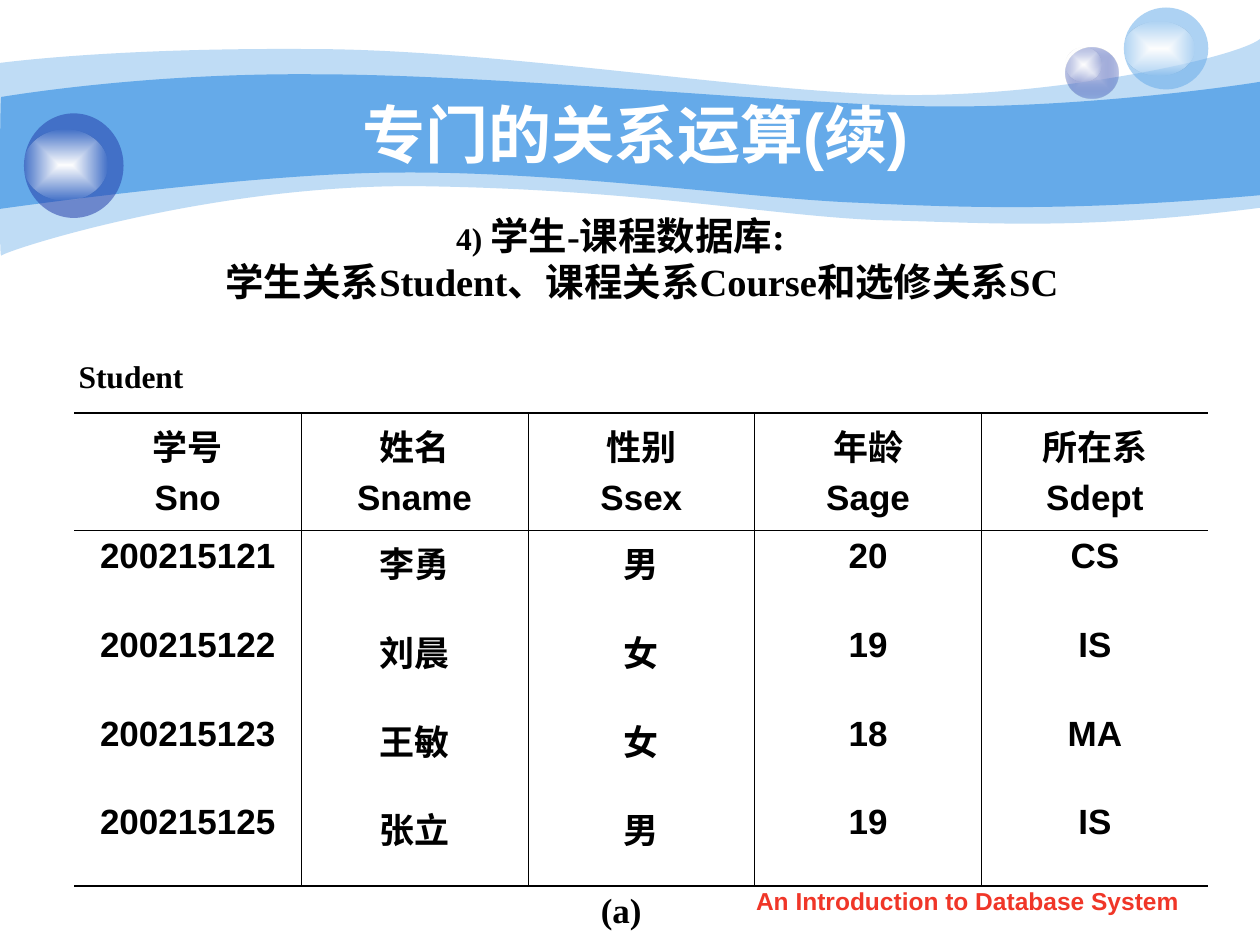
from pptx import Presentation
from pptx import util as u
from pptx.dml.color import RGBColor
from pptx.enum import shapes, text
from pptx.oxml import parse_xml
from pptx.oxml.ns import nsdecls, qn

BLACK, WHITE, SKY, NAVY = "000000", "FFFFFF", "65AAE9", "233DA9"
ARIAL, TIMES = "Arial", "Times New Roman"
UNITS_PER_INCH = 1000

OUTER_WAVE = [
    (0, 0.5),
    (0.24, 0.47, 1.08, 0.38, 2.47, 0.39),
    (3.86, 0.39, 5.75, 0.7, 6.99, 0.75),
    (8.22, 0.8, 9.8, 0.47, 10, 0.31),
    (10, 1.65),
    (8.58, 1.83, 7.88, 1.77, 7.05, 1.75),
    (6.22, 1.73, 5.15, 1.51, 3.43, 1.48),
    (1.72, 1.44, 0.04, 1.99, 0.01, 2.03),
    (-0.01, 2.08, 0, 0.75, 0, 0.5),
]
INNER_WAVE = [
    (0.01, 0.77),
    (0.02, 0.77, 1.1, 0.58, 2.48, 0.59),
    (3.87, 0.59, 5.96, 0.8, 7.18, 0.84),
    (8.41, 0.88, 9.76, 0.69, 10, 0.65),
    (10, 1.55),
    (8.53, 1.68, 7.65, 1.65, 6.82, 1.61),
    (5.99, 1.58, 4.47, 1.36, 3.17, 1.37),
    (2.03, 1.37, -0.02, 1.66, -0.01, 1.66),
    (0, 1.66, 0, 0.77, 0.01, 0.77),
]
STUDENTS = [
    ["学号\nSno", "姓名\nSname", "性别\nSsex", "年龄\nSage", "所在系\nSdept"],
    ["200215121", "李勇", "男", "20", "CS"],
    ["200215122", "刘晨", "女", "19", "IS"],
    ["200215123", "王敏", "女", "18", "MA"],
    ["200215125", "张立", "男", "19", "IS"],
]
ROW_HEIGHTS = [0.93, 0.71, 0.7, 0.7, 0.71]


def color(value):
    return RGBColor.from_string(value)


def inches(box):
    return [u.Inches(value) for value in box]


def set_font(font, name, size, value=BLACK):
    font.name, font.size, font.bold = name, u.Pt(size), True
    font.color.rgb = color(value)


def fill_solid(shape, value, opacity=100):
    shape.shadow.inherit = False
    shape.line.fill.background()
    shape.fill.solid()
    shape.fill.fore_color.rgb = color(value)
    if opacity < 100:
        tint = shape._element.spPr.find(qn("a:solidFill")).find(qn("a:srgbClr"))
        tint.append(parse_xml(f'<a:alpha {nsdecls("a")} val="{opacity * 1000}"/>'))


def fill_radial(shape, inner, outer, outer_opacity):
    fill_solid(shape, inner)
    solid = shape._element.spPr.find(qn("a:solidFill"))
    gradient = parse_xml(
        f'<a:gradFill {nsdecls("a")} rotWithShape="1"><a:gsLst>'
        f'<a:gs pos="0"><a:srgbClr val="{inner}"/></a:gs>'
        f'<a:gs pos="100000"><a:srgbClr val="{outer}">'
        f'<a:alpha val="{outer_opacity * 1000}"/></a:srgbClr></a:gs></a:gsLst>'
        '<a:path path="rect"><a:fillToRect l="50000" t="50000" r="50000" b="50000"/>'
        '</a:path></a:gradFill>')
    solid.getparent().replace(solid, gradient)


def add_wave(page, segments, value, opacity=100):
    points = [(round(x * UNITS_PER_INCH), round(y * UNITS_PER_INCH))
              for segment in segments for x, y in zip(segment[::2], segment[1::2])]
    builder = page.shapes.build_freeform(*points[0], scale=u.Inches(1) / UNITS_PER_INCH)
    builder.add_line_segments(points[1:], close=True)
    wave = builder.convert_to_shape()
    lines = iter(list(wave._element.iter(qn("a:lnTo"))))
    for segment in segments[1:]:
        group = [next(lines) for _ in range(len(segment) // 2)]
        if len(group) == 3:
            curve = parse_xml(f'<a:cubicBezTo {nsdecls("a")}/>')
            group[0].addprevious(curve)
            for line in group:
                curve.append(line[0])
                line.getparent().remove(line)
    fill_solid(wave, value, opacity)


def add_bubble(page, box, glow_box, value, opacity, center=None):
    ball, glow = [page.shapes.add_shape(shapes.MSO_SHAPE.OVAL, *inches(area))
                  for area in (box, glow_box)]
    if center:
        fill_radial(ball, center, value, opacity)
    else:
        fill_solid(ball, value, opacity)
    fill_radial(glow, WHITE, WHITE, 0)


def add_title(page, box, words):
    title = page.shapes.title
    title.left, title.top, title.width, title.height = inches(box)
    frame = title.text_frame
    frame.text = words
    frame.vertical_anchor = text.MSO_ANCHOR.MIDDLE
    frame.margin_left = frame.margin_right = frame.margin_top = frame.margin_bottom = 0
    para = frame.paragraphs[0]
    para.alignment = text.PP_ALIGN.CENTER
    set_font(para.font, ARIAL, 36, WHITE)


def add_label(page, box, words, name, size, value=BLACK, anchor=text.MSO_ANCHOR.TOP):
    frame = page.shapes.add_textbox(*inches(box)).text_frame
    frame.word_wrap = True
    frame.vertical_anchor = anchor
    para = frame.paragraphs[0]
    para.text = words
    para.alignment = text.PP_ALIGN.CENTER
    set_font(para.font, name, size, value)


def add_heading(page, box):
    frame = page.shapes.add_textbox(*inches(box)).text_frame
    frame.word_wrap = True
    lines = [
        ([("4) ", 18), ("学生-课程数据库:", 22)], 0.38, -0.38),
        ([("学生关系Student、课程关系Course和选修关系SC", 22)], 0.34, 0),
    ]
    for index, (spans, margin, indent) in enumerate(lines):
        para = frame.add_paragraph() if index else frame.paragraphs[0]
        para.alignment = text.PP_ALIGN.CENTER
        properties = para._p.get_or_add_pPr()
        properties.set("marL", str(u.Inches(margin)))
        properties.set("indent", str(u.Inches(indent)))
        for words, size in spans:
            span = para.add_run()
            span.text = words
            set_font(span.font, TIMES, size)


def set_borders(cell, **widths):
    properties = cell._tc.get_or_add_tcPr()
    for index, side in enumerate("LRTB"):
        width = widths.get(side, 0)
        paint = (f'<a:solidFill><a:srgbClr val="{BLACK}"/></a:solidFill>'
                 if width else "<a:noFill/>")
        properties.insert(index, parse_xml(
            f'<a:ln{side} {nsdecls("a")} w="{u.Pt(width)}">{paint}</a:ln{side}>'))


def add_student_table(page, box, rows, heights):
    last_row, last_column = len(rows) - 1, len(rows[0]) - 1
    table = page.shapes.add_table(len(rows), len(rows[0]), *inches(box)).table
    table.first_row = table.horz_banding = False
    thick, thin = 1.08, 0.45
    for r, (row, height) in enumerate(zip(rows, heights)):
        table.rows[r].height = u.Inches(height)
        for c, words in enumerate(row):
            cell = table.cell(r, c)
            cell.text = words
            cell.fill.background()
            set_borders(
                cell,
                L=thin if c else 0,
                R=thin if c < last_column else 0,
                T={0: thick, 1: thin}.get(r, 0),
                B={0: thin, last_row: thick}.get(r, 0))
            for index, para in enumerate(cell.text_frame.paragraphs):
                para.alignment = text.PP_ALIGN.CENTER
                if index:
                    para.space_before = u.Pt(5)
                set_font(para.font, ARIAL, 20)


def main():
    deck = Presentation()
    deck.slide_width, deck.slide_height = u.Inches(10), u.Inches(7.5)
    page = deck.slides.add_slide(deck.slide_layouts[5])
    add_wave(page, OUTER_WAVE, SKY, 41)
    add_wave(page, INNER_WAVE, SKY)
    add_bubble(page, (8.46, 0.38, 0.42, 0.4), (8.46, 0.38, 0.28, 0.27), NAVY, 31, "C7CEE9")
    add_bubble(page, (8.92, 0.06, 0.67, 0.65), (8.92, 0.17, 0.56, 0.43), SKY, 53)
    add_bubble(page, (0.19, 0.9, 0.79, 0.83), (0.19, 1.03, 0.66, 0.56), NAVY, 53)
    add_label(page, (5.71, 6.98, 3.94, 0.35), "An Introduction to Database System",
              ARIAL, 14, "F03628")
    add_title(page, (1, 0.75, 8.08, 0.62), "专门的关系运算(续)")
    page.shapes._spTree.append(page.shapes.title._element)
    add_label(page, (1.14, 7, 7.58, 0.44), "(a)", TIMES, 20)
    add_label(page, (0.49, 2.65, 1.1, 0.67), "Student", TIMES, 18,
              anchor=text.MSO_ANCHOR.MIDDLE)
    add_heading(page, (0.83, 1.63, 8.19, 0.84))
    add_student_table(page, (0.59, 3.28, 9, 3.75), STUDENTS, ROW_HEIGHTS)
    deck.save("out.pptx")


if __name__ == "__main__":
    main()
